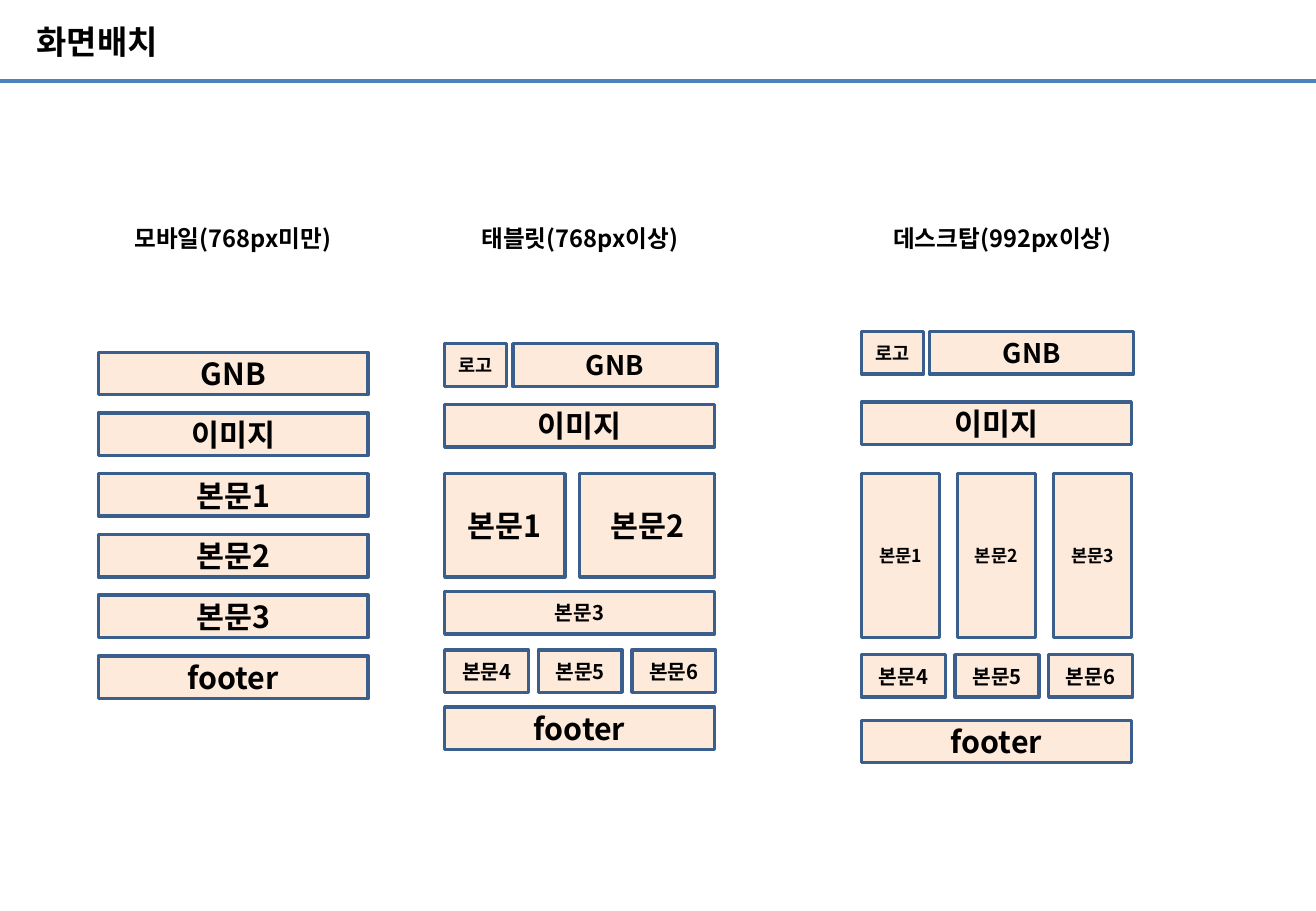
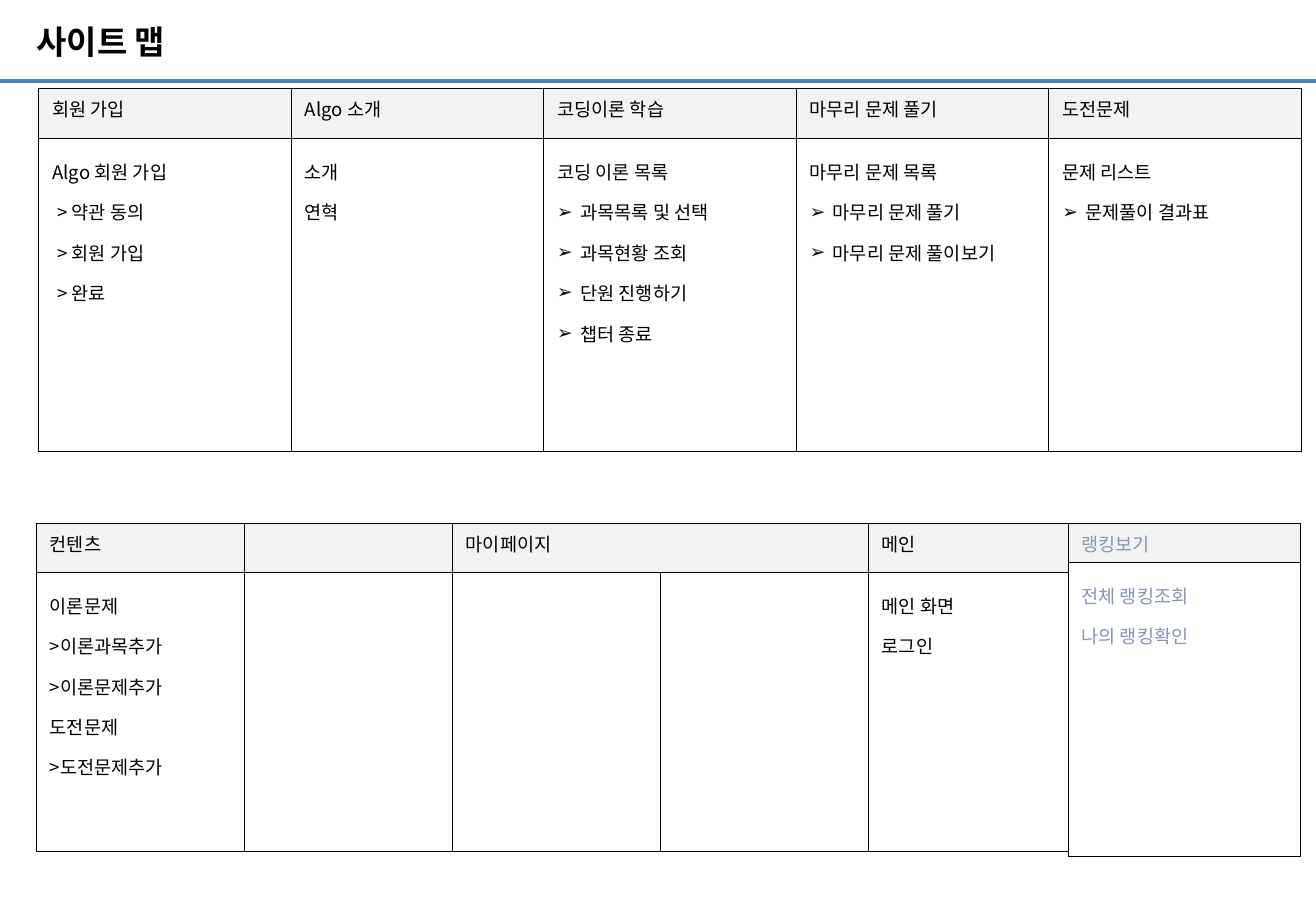
import lxml.etree
import pptx
import pptx.dml.color
import pptx.enum.shapes
import pptx.enum.text
import pptx.oxml.ns
import pptx.util

SCALE = 9144
WIDE, HIGH = 1083, 750
BLACK, WHITE, BLUE = "000000", "FFFFFF", "4F81BD"
PEACH, NAVY, GRAY, MUTED = "FDEADA", "3A5F8C", "F2F2F2", "8497B0"
SANS, HEAD = "Noto Sans CJK KR", "Arial"
ALIGN = pptx.enum.text.PP_ALIGN
MIDDLE = pptx.enum.text.MSO_ANCHOR.MIDDLE

SCREENS = [
    (81, [
        (290 + 50 * step, 35, 0, [222], 18, [label])
        for step, label in enumerate(
            ["GNB", "이미지", "본문1", "본문2", "본문3", "footer"])
    ]),
    (366, [
        (283, 35, 5, [51, 168], (11, 16), ["로고", "GNB"]),
        (333, 35, 0, [222], 18, ["이미지"]),
        (390, 85, 12, [99, 111], 18, ["본문1", "본문2"]),
        (487, 35, 0, [222], 12, ["본문3"]),
        (535, 35, 8, [69] * 3, 12, ["본문4", "본문5", "본문6"]),
        (582, 35, 0, [222], 18, ["footer"]),
    ]),
    (709, [
        (273, 35, 5, [51, 168], (11, 16), ["로고", "GNB"]),
        (331, 35, 0, [222], 18, ["이미지"]),
        (390, 135, 15, [64] * 3, 10.5, ["본문1", "본문2", "본문3"]),
        (539, 35, 8, [69] * 3, 12, ["본문4", "본문5", "본문6"]),
        (593, 35, 0, [222], 18, ["footer"]),
    ]),
]
HEADINGS = [
    (88, 207, "모바일(768px미만)"),
    (383, 188, "태블릿(768px이상)"),
    (718, 214, "데스크탑(992px이상)"),
]
MENU = [
    ["회원 가입", "Algo 소개", "코딩이론 학습", "마무리 문제 풀기", "도전문제"],
    [
        ["Algo 회원 가입", "> 약관 동의", "> 회원 가입", "> 완료"],
        ["소개", "연혁"],
        ["코딩 이론 목록", "➢과목목록 및 선택", "➢과목현황 조회",
         "➢단원 진행하기", "➢챕터 종료"],
        ["마무리 문제 목록", "➢마무리 문제 풀기", "➢마무리 문제 풀이보기"],
        ["문제 리스트", "➢문제풀이 결과표"],
    ],
]
PAGES = [
    ["컨텐츠", "", "마이페이지", "", "메인"],
    [
        ["이론문제", ">이론과목추가", ">이론문제추가", "도전문제", ">도전문제추가"],
        [], [], [],
        ["메인 화면", "로그인"],
    ],
]
RANKS = [["랭킹보기"], [["전체 랭킹조회", "나의 랭킹확인"]]]


def px(size):
    """Turn px into EMU."""
    return pptx.util.Emu(round(size * SCALE))


def color(code):
    """Turn a hex string into a colour."""
    return pptx.dml.color.RGBColor.from_string(code)


def node(parent, tag, **attrs):
    """Append a drawing element to a parent."""
    return lxml.etree.SubElement(parent, pptx.oxml.ns.qn(tag), attrs)


def indent(para, left, hang=0):
    """Set the left margin and first line of a paragraph."""
    props = para._p.get_or_add_pPr()
    props.set("marL", str(px(left)))
    props.set("indent", str(px(-hang)))
    return props


def bullet(para, mark):
    """Give a paragraph a hanging bullet."""
    props = indent(para, 19, 19)
    node(node(props, "a:buClr"), "a:srgbClr", val=BLACK)
    node(props, "a:buFont", typeface=HEAD)
    node(props, "a:buChar", char=mark)


def text(frame, lines, size=11, font=SANS, ink=BLACK, bold=False,
         align=ALIGN.LEFT, space=None):
    """Write lines into a text frame, one paragraph each."""
    frame.word_wrap = True
    for count, line in enumerate(lines):
        para = frame.add_paragraph() if count else frame.paragraphs[0]
        para.alignment = align
        para.line_spacing = space
        if line.startswith("➢"):
            bullet(para, "➢")
            line = line[1:]
        elif line.startswith("> "):
            indent(para, 4)
        run = para.add_run()
        run.text = line
        run.font.name, run.font.size = font, pptx.util.Pt(size)
        run.font.bold, run.font.color.rgb = bold, color(ink)
        node(run._r.get_or_add_rPr(), "a:ea", typeface=SANS)


def inset(item, side, top):
    """Set the margins of a frame or cell."""
    item.margin_left = item.margin_right = px(side)
    item.margin_top = item.margin_bottom = px(top)


def label(slide, place, line, pad=(10, 5), **style):
    """Add a text box with one centred-height line."""
    frame = slide.shapes.add_textbox(*map(px, place)).text_frame
    frame.vertical_anchor = MIDDLE
    inset(frame, *pad)
    text(frame, [line], bold=True, **style)


def block(slide, place, line, size):
    """Add a bordered wireframe block."""
    kind = pptx.enum.shapes.MSO_SHAPE.RECTANGLE
    shape = slide.shapes.add_shape(kind, *map(px, place))
    shape.shadow.inherit = False
    shape.fill.solid()
    shape.fill.fore_color.rgb = color(PEACH)
    shape.line.color.rgb = color(NAVY)
    shape.line.width = pptx.util.Pt(2)
    shape.text_frame.vertical_anchor = MIDDLE
    inset(shape.text_frame, 10, 5)
    text(shape.text_frame, [line], size=size, bold=True, align=ALIGN.CENTER)


def screen(slide, left, rows):
    """Stack rows of blocks from one left edge."""
    for top, high, gap, widths, sizes, names in rows:
        if not isinstance(sizes, tuple):
            sizes = (sizes,) * len(names)
        x = left
        for wide, size, name in zip(widths, sizes, names):
            block(slide, (x, top, wide, high), name, size)
            x += wide + gap


def border(cell):
    """Draw thin black borders round a cell."""
    props = cell._tc.get_or_add_tcPr()
    for side in ("a:lnL", "a:lnR", "a:lnT", "a:lnB"):
        edge = node(props, side, w=str(pptx.util.Pt(0.75)))
        node(node(edge, "a:solidFill"), "a:srgbClr", val=BLACK)


def grid(slide, left, top, wide, highs, rows, ink=BLACK):
    """Add a table with a shaded head row and a body row."""
    cols = len(rows[0])
    place = map(px, (left, top, wide, sum(highs)))
    table = slide.shapes.add_table(len(rows), cols, *place).table
    table.first_row = table.horz_banding = False
    for col in table.columns:
        col.width = px(wide / cols)
    for r, row in enumerate(rows):
        table.rows[r].height = px(highs[r])
        for c, item in enumerate(row):
            cell = table.cell(r, c)
            inset(cell, 11, 5)
            border(cell)
            cell.fill.solid()
            cell.fill.fore_color.rgb = color(WHITE if r else GRAY)
            lines = item if r else [item] if item else []
            text(cell.text_frame, lines, ink=ink, space=1.5 if r else None)
    return table


def page(deck, title):
    """Add a slide with the shared title and rule."""
    slide = deck.slides.add_slide(deck.slide_layouts[6])
    kind = pptx.enum.shapes.MSO_CONNECTOR.STRAIGHT
    rule = slide.shapes.add_connector(kind, *map(px, (0, 67, WIDE, 67)))
    rule.line.color.rgb = color(BLUE)
    rule.line.width = pptx.util.Pt(2.25)
    node(rule._element.spPr, "a:effectLst")
    label(slide, (30, 0, 709, 68), title, pad=(0, 0), size=19.5, font=HEAD)
    return slide


def main():
    """Build and save the deck."""
    deck = pptx.Presentation()
    deck.slide_width, deck.slide_height = px(WIDE), px(HIGH)

    views = page(deck, "화면배치")
    for left, wide, name in HEADINGS:
        label(views, (left, 176, wide, 40), name, size=14, align=ALIGN.CENTER)
    for left, rows in SCREENS:
        screen(views, left, rows)

    site = page(deck, "사이트 맵")
    grid(site, 32, 73, 1039, (41, 258), MENU)
    pages = grid(site, 30, 431, 856, (38, 230), PAGES)
    pages.cell(0, 2).merge(pages.cell(0, 3))
    grid(site, 879, 431, 191, (32, 242), RANKS, ink=MUTED)

    deck.save("out.pptx")


if __name__ == "__main__":
    main()
